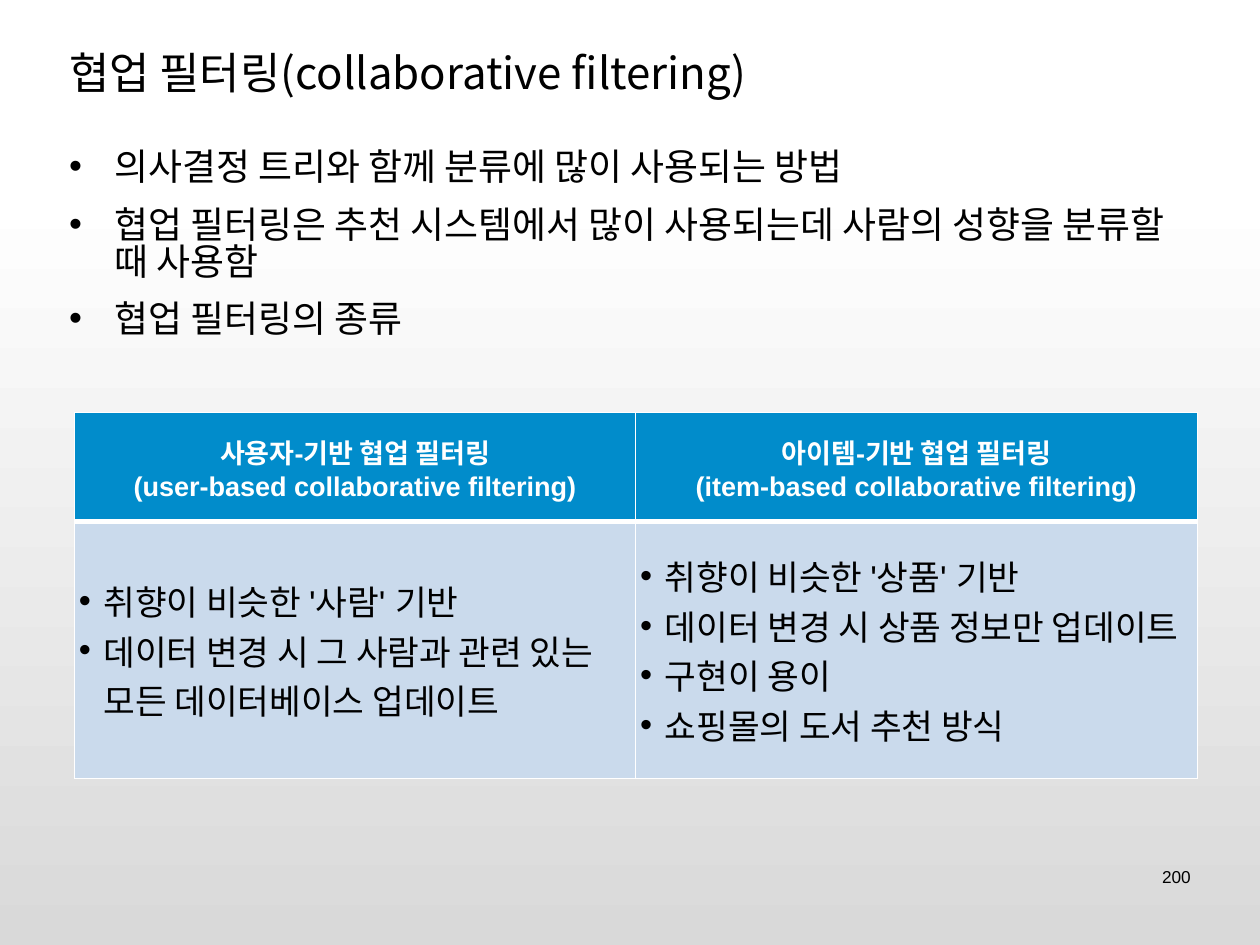
from dataclasses import dataclass

import pptx
import pptx.dml.color
import pptx.enum.text
import pptx.oxml.ns
import pptx.util
from lxml import etree
from pptx.util import Inches

ALIGN = pptx.enum.text.PP_ALIGN
ANCHOR = pptx.enum.text.MSO_ANCHOR


@dataclass(frozen=True)
class Theme:
    latin: str = "Arial"
    korean: str = "Noto Sans CJK KR"
    black: str = "000000"
    white: str = "FFFFFF"
    grey: str = "D9D9D9"
    header: str = "018CCB"
    cell: str = "CADAEC"
    title_size: float = 35.6
    body_size: float = 30
    cell_size: float = 28
    header_size: float = 22
    number_size: float = 14


THEME = Theme()

POINTS = [
    "의사결정 트리와 함께 분류에 많이 사용되는 방법",
    "협업 필터링은 추천 시스템에서 많이 사용되는데 사람의 성향을 분류할 때 사용함",
    "협업 필터링의 종류",
]
METHODS = [
    (
        ["사용자-기반 협업 필터링", "(user-based collaborative filtering)"],
        ["취향이 비슷한 '사람' 기반",
         "데이터 변경 시 그 사람과 관련 있는 모든 데이터베이스 업데이트"],
    ),
    (
        ["아이템-기반 협업 필터링", "(item-based collaborative filtering)"],
        ["취향이 비슷한 '상품' 기반",
         "데이터 변경 시 상품 정보만 업데이트",
         "구현이 용이",
         "쇼핑몰의 도서 추천 방식"],
    ),
]


def rgb(value):
    return pptx.dml.color.RGBColor.from_string(value)


def add_xml(parent, tag, **attributes):
    return etree.SubElement(parent, pptx.oxml.ns.qn(tag), attributes)


def add_bullet(p, indent):
    pPr = p._p.get_or_add_pPr()
    pPr.set("marL", str(Inches(indent)))
    pPr.set("indent", str(-Inches(indent)))
    add_xml(pPr, "a:buFont", typeface=THEME.latin)
    add_xml(pPr, "a:buChar", char="•")


def write(tf, lines, size, color=THEME.black, font=THEME.latin, bold=False,
          align=ALIGN.LEFT, indent=None, gap=0, line_spacing=None):
    """Fill a text frame with one paragraph per line; indent adds bullets."""
    for i, line in enumerate(lines):
        p = tf.add_paragraph() if i else tf.paragraphs[0]
        if indent:
            add_bullet(p, indent)
        p.alignment = align
        p.space_before = pptx.util.Pt(gap if i else 0)
        if line_spacing:
            p.line_spacing = line_spacing
        r = p.add_run()
        r.text = line
        r.font.name = font
        r.font.size = pptx.util.Pt(size)
        r.font.bold = bold
        r.font.color.rgb = rgb(color)
        add_xml(r._r.get_or_add_rPr(), "a:ea", typeface=THEME.korean)


def add_text(s, left, top, width, height, lines, size, anchor=ANCHOR.TOP,
             wrap=True, **style):
    box = s.shapes.add_textbox(*map(Inches, (left, top, width, height)))
    tf = box.text_frame
    tf.word_wrap = wrap
    tf.vertical_anchor = anchor
    tf.margin_left = tf.margin_right = Inches(0.07)
    tf.margin_top = tf.margin_bottom = Inches(0.07)
    write(tf, lines, size, **style)


def set_borders(cell, **widths):
    tcPr = cell._tc.get_or_add_tcPr()
    for side in "LRTB":
        width = pptx.util.Pt(widths.get(side, 1))
        ln = add_xml(tcPr, f"a:ln{side}", w=str(width))
        add_xml(add_xml(ln, "a:solidFill"), "a:srgbClr", val=THEME.white)


def fill_cell(cell, lines, fill, size, borders, **style):
    set_borders(cell, **borders)
    cell.fill.solid()
    cell.fill.fore_color.rgb = rgb(fill)
    cell.vertical_anchor = ANCHOR.MIDDLE
    cell.margin_left = cell.margin_right = Inches(0.05)
    cell.margin_top = cell.margin_bottom = Inches(0.05)
    write(cell.text_frame, lines, size, **style)


def add_method_table(s):
    frame = s.shapes.add_table(2, len(METHODS), Inches(0.84), Inches(4.66),
                               Inches(12.67), Inches(4.13))
    table = frame.table
    table.horz_banding = False
    for row, height in zip(table.rows, (1.23, 2.9)):
        row.height = Inches(height)
    for column, (heading, features) in enumerate(METHODS):
        fill_cell(table.cell(0, column), heading, THEME.header,
                  THEME.header_size, {"B": 4}, color=THEME.white, bold=True,
                  align=ALIGN.CENTER)
        fill_cell(table.cell(1, column), features, THEME.cell,
                  THEME.cell_size, {"T": 4}, indent=0.28)


def set_background(s):
    fill = s.background.fill
    fill.gradient()
    fill.gradient_angle = 270
    stops = ((0.2, THEME.white), (1, THEME.grey))
    for stop, (position, color) in zip(fill.gradient_stops, stops):
        stop.position = position
        stop.color.rgb = rgb(color)


def main():
    prs = pptx.Presentation()
    prs.slide_width = Inches(14.22)
    prs.slide_height = Inches(10.67)
    s = prs.slides.add_slide(prs.slide_layouts[6])
    set_background(s)
    add_text(s, 0.71, 0.43, 12.8, 0.76,
             ["협업 필터링(collaborative filtering)"], THEME.title_size,
             anchor=ANCHOR.MIDDLE, font=THEME.korean)
    add_text(s, 0.71, 1.64, 12.8, 2.8, POINTS, THEME.body_size,
             indent=0.51, gap=17, line_spacing=0.83)
    add_method_table(s)
    add_text(s, 13.03, 9.71, 0.48, 0.36, ["200"], THEME.number_size,
             wrap=False, align=ALIGN.RIGHT)
    prs.save("out.pptx")


if __name__ == "__main__":
    main()
